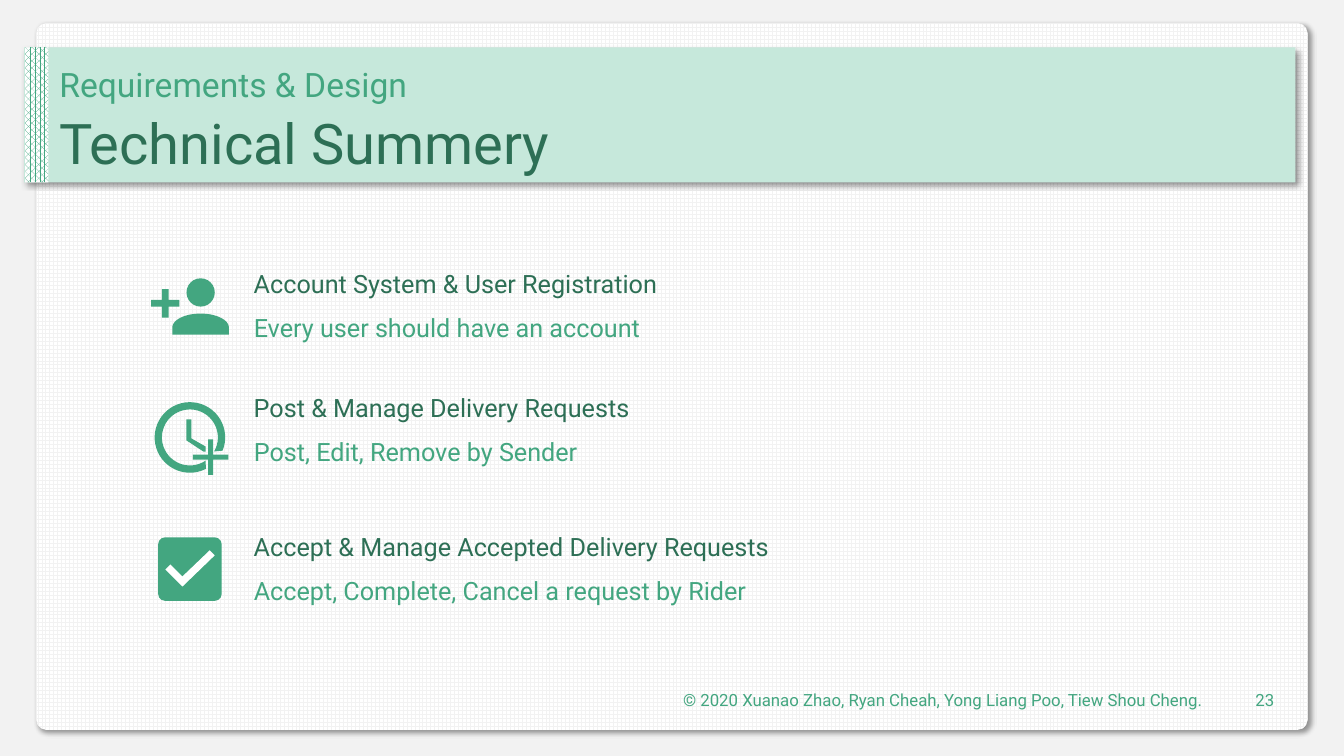
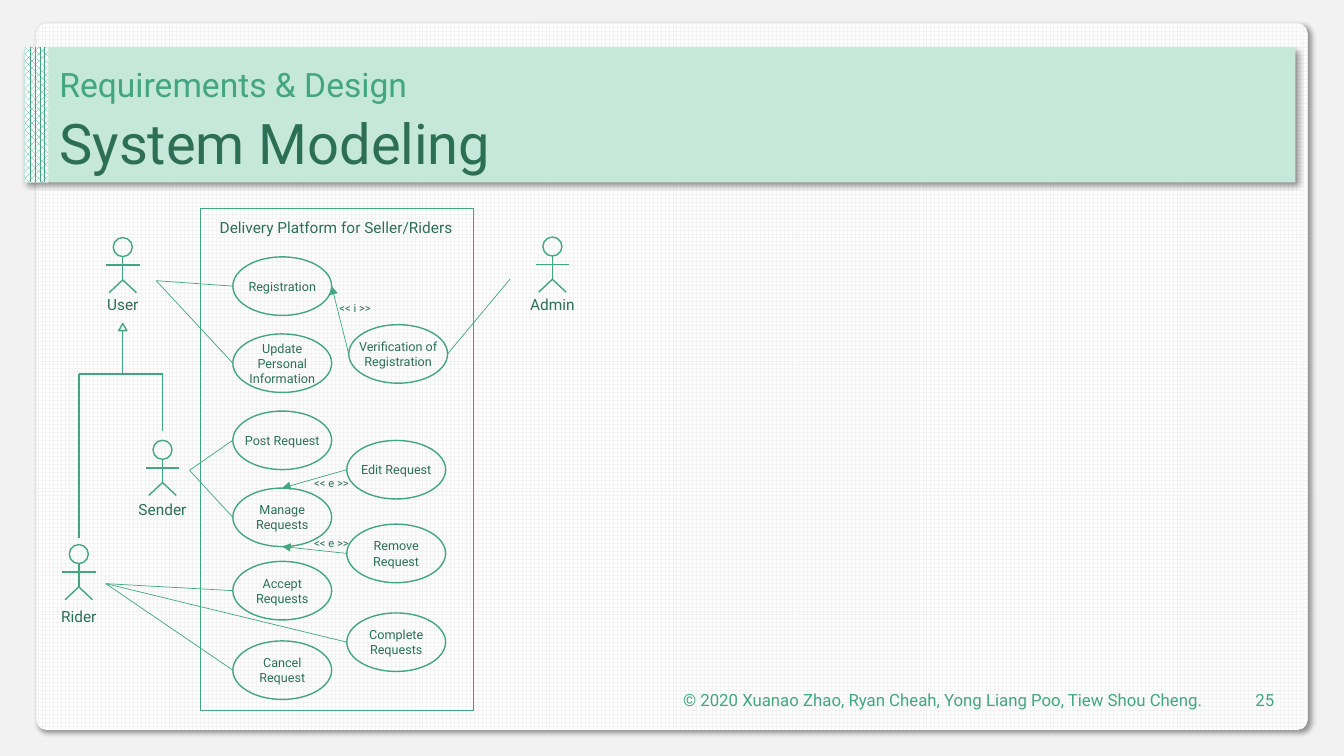
from math import cos, radians, sin

from lxml.etree import SubElement
from pptx import Presentation
from pptx.dml.color import RGBColor
from pptx.enum.dml import MSO_PATTERN
from pptx.enum.shapes import MSO_CONNECTOR, MSO_SHAPE
from pptx.enum.text import MSO_ANCHOR, PP_ALIGN
from pptx.oxml.ns import qn
from pptx.util import Pt

FONT = "Roboto"
GREEN, DARK, PALE = "43A680", "2D6F55", "C6E8DB"
GREY, WHITE, BLACK = "F2F2F2", "FFFFFF", "000000"
COPYRIGHT = "© 2020 Xuanao Zhao, Ryan Cheah, Yong Liang Poo, Tiew Shou Cheng."
CASE_W, CASE_H = 70.6, 41.8


def rgb(color):
    return RGBColor.from_string(color)


def arc(cx, cy, rx, ry, start, end, steps=48):
    """Points along an ellipse, angles in degrees clockwise from the right."""
    angles = [radians(start + (end - start) * i / steps) for i in range(steps + 1)]
    return [(cx + rx * cos(a), cy + ry * sin(a)) for a in angles]


class Deck:
    def __init__(self):
        self.prs = Presentation()
        self.prs.slide_width, self.prs.slide_height = Pt(960), Pt(540)
        self.s = None

    def slide(self, title, number):
        """Start a slide with its card, title band and footer."""
        self.s = self.prs.slides.add_slide(self.prs.slide_layouts[6])
        fill = self.s.background.fill
        fill.solid()
        fill.fore_color.rgb = rgb(GREY)
        card = self.shape(MSO_SHAPE.ROUNDED_RECTANGLE, 26, 16.6, 908, 504.7)
        card.adjustments[0] = 0.014
        self.pattern(card, MSO_PATTERN.LARGE_GRID, GREY)
        self.cast_shadow(card)
        self.cast_shadow(self.shape(MSO_SHAPE.RECTANGLE, 17.3, 33.8, 908, 96.5, PALE))
        strip = self.shape(MSO_SHAPE.RECTANGLE, 18, 33.8, 16.6, 96.5)
        self.pattern(strip, MSO_PATTERN.PERCENT_70, GREEN)
        for text, y, h, size, color in (("Requirements & Design", 38.9, 39.6, 24, GREEN),
                                        (title, 78.5, 51.1, 40, DARK)):
            p = self.text(text, 35.3, y, 889.2, h, size, color, anchor=MSO_ANCHOR.BOTTOM)
            p.line_spacing = 0.9
        for text, x, w in ((COPYRIGHT, 391.7, 474.5), (number, 874.8, 42.5)):
            self.text(text, x, 485.3, w, 28.8, 12, GREEN, PP_ALIGN.RIGHT, MSO_ANCHOR.MIDDLE)

    def plain(self, shape, fill=None, line=None):
        shape.shadow.inherit = False
        if fill:
            shape.fill.solid()
            shape.fill.fore_color.rgb = rgb(fill)
        else:
            shape.fill.background()
        if line:
            shape.line.color.rgb = rgb(line)
            shape.line.width = Pt(1)
        else:
            shape.line.fill.background()
        return shape

    def shape(self, kind, x, y, w, h, fill=None, line=None):
        sp = self.s.shapes.add_shape(kind, Pt(x), Pt(y), Pt(w), Pt(h))
        return self.plain(sp, fill, line)

    def pattern(self, sp, pattern, color):
        sp.fill.patterned()
        sp.fill.pattern = pattern
        sp.fill.fore_color.rgb = rgb(color)
        sp.fill.back_color.rgb = rgb(WHITE)

    def cast_shadow(self, sp):
        effects = sp._element.spPr.find(qn("a:effectLst"))
        shadow = SubElement(effects, qn("a:outerShdw"), blurRad=str(Pt(4)), dist=str(Pt(3)),
                            dir="2700000", algn="tl", rotWithShape="0")
        color = SubElement(shadow, qn("a:srgbClr"), val=BLACK)
        SubElement(color, qn("a:alpha"), val="40000")

    def polygon(self, points, fill):
        (x, y), *rest = [(Pt(px), Pt(py)) for px, py in points]
        builder = self.s.shapes.build_freeform(x, y)
        builder.add_line_segments(rest, close=True)
        return self.plain(builder.convert_to_shape(), fill)

    def plus(self, cx, cy, size, thickness):
        sp = self.shape(MSO_SHAPE.CROSS, cx - size / 2, cy - size / 2, size, size, GREEN)
        sp.adjustments[0] = (size - thickness) / 2 / size

    def set_text(self, tf, text, size, color, align):
        p = tf.paragraphs[0]
        p.text = text
        p.alignment = align
        p.font.name, p.font.size, p.font.color.rgb = FONT, Pt(size), rgb(color)
        return p

    def text(self, text, x, y, w, h, size, color=DARK, align=PP_ALIGN.LEFT,
             anchor=MSO_ANCHOR.TOP):
        tf = self.s.shapes.add_textbox(Pt(x), Pt(y), Pt(w), Pt(h)).text_frame
        tf.word_wrap = True
        tf.vertical_anchor = anchor
        return self.set_text(tf, text, size, color, align)

    def line(self, start, end, width=1, arrow=False):
        c = self.s.shapes.add_connector(MSO_CONNECTOR.STRAIGHT, *map(Pt, (*start, *end)))
        c.line.color.rgb = rgb(GREEN)
        c.line.width = Pt(width)
        spPr = c._element.spPr
        if arrow:
            SubElement(spPr.find(qn("a:ln")), qn("a:tailEnd"), type="triangle")
        SubElement(spPr, qn("a:effectLst"))

    def actor(self, name, cx, y, label_gap):
        """Stick figure with its head's top at y."""
        hip = (cx, y + 30.2)
        self.shape(MSO_SHAPE.OVAL, cx - 6.8, y, 13.6, 13.6, line=GREEN)
        self.line((cx, y + 13.3), hip)
        self.line((cx + 12, y + 19.7), (cx - 12, y + 19.7))
        for side in (-1, 1):
            self.line(hip, (cx + side * 9.8, y + 39.4))
        self.text(name, cx - 30, y + label_gap, 60, 20.9, 11, align=PP_ALIGN.CENTER)

    def use_case(self, text, x, y):
        sp = self.shape(MSO_SHAPE.OVAL, x, y, CASE_W, CASE_H, line=GREEN)
        tf = sp.text_frame
        tf.word_wrap = False
        tf.vertical_anchor = MSO_ANCHOR.MIDDLE
        self.set_text(tf, text, 9, DARK, PP_ALIGN.CENTER)


def technical_summary(deck):
    deck.slide("Technical Summery", "23")
    features = (
        (187.9, "Account System & User Registration", "Every user should have an account"),
        (276.8, "Post & Manage Delivery Requests", "Post, Edit, Remove by Sender"),
        (376, "Accept & Manage Accepted Delivery Requests",
         "Accept, Complete, Cancel a request by Rider"),
    )
    for y, heading, detail in features:
        deck.text(heading, 174.2, y, 493, 29, 18, DARK)
        deck.text(detail, 174.2, y + 31.4, 480, 29, 18, GREEN)

    # Person with plus
    deck.shape(MSO_SHAPE.OVAL, 133.2, 198.8, 20.2, 20.2, GREEN)
    deck.plus(118.1, 216.7, 20.2, 4.8)
    deck.polygon(arc(143.3, 234, 20.2, 10, 180, 360) + [(163.5, 239), (123.1, 239)], GREEN)

    # Clock with plus
    cx, cy = 135.7, 312.5
    deck.polygon(arc(cx, cy, 25.2, 25.2, 63, 382) + arc(cx, cy, 20, 20, 390, 56), GREEN)
    deck.polygon([(133.2, 299.5), (136.8, 299.5), (136.8, 313.2), (146.9, 319),
                  (146.9, 322.6), (145.4, 322.6), (133.2, 314.6)], GREEN)
    deck.plus(150.5, 326.5, 25.4, 3.6)

    # Check box
    box = deck.shape(MSO_SHAPE.ROUNDED_RECTANGLE, 113, 383.8, 45.4, 45.4, GREEN)
    box.adjustments[0] = 0.11
    deck.polygon([(130.3, 419), (118.1, 406.8), (121.7, 403.2), (130.3, 411.8),
                  (149.8, 393.1), (153.4, 396.7)], WHITE)


def system_modeling(deck):
    deck.slide("System Modeling", "25")
    user_x, sender_x, rider_x, admin_x = 87.7, 116.1, 56.3, 394.6
    branch_y = 267.1
    for start, end in (((rider_x, 384.5), (rider_x, branch_y)),
                       ((sender_x, 308.2), (sender_x, branch_y)),
                       ((rider_x, branch_y), (sender_x, branch_y)),
                       ((user_x, branch_y), (user_x, 236.2))):
        deck.line(start, end)
    deck.shape(MSO_SHAPE.ISOSCELES_TRIANGLE, user_x - 2.9, 231.1, 5.8, 5.1, line=GREEN)

    for name, cx, y, label_gap in (("User", user_x, 169.7, 37.6),
                                   ("Sender", sender_x, 314.5, 39),
                                   ("Rider", rider_x, 389, 41),
                                   ("Admin", admin_x, 169.3, 38)):
        deck.actor(name, cx, y, label_gap)

    deck.shape(MSO_SHAPE.RECTANGLE, 143.3, 149, 195.1, 358.6, line=GREEN)
    deck.text("Delivery Platform for Seller/Riders", 149.8, 152.6, 181.4, 20.9, 11)

    left, right = 166.3, 247.7
    cases = {
        "register": ("Registration", left, 183.5),
        "update": ("Update\nPersonal\nInformation", left, 238.5),
        "post": ("Post Request", left, 293.6),
        "manage": ("Manage\nRequests", left, 348.6),
        "accept": ("Accept\nRequests", left, 401),
        "cancel": ("Cancel\nRequest", left, 457.8),
        "edit": ("Edit Request", right, 314.6),
        "remove": ("Remove\nRequest", right, 374.4),
        "complete": ("Complete\nRequests", right, 437.8),
        "verify": ("Verification of\nRegistration", 249.1, 231.9),
    }
    for case in cases.values():
        deck.use_case(*case)

    def at(key, fx, fy):
        """Point at a fraction of a use case's width and height."""
        _, x, y = cases[key]
        return x + fx * CASE_W, y + fy * CASE_H

    for source, target in (("edit", at("manage", 0.5, 0)),
                           ("remove", at("manage", 0.5, 1)),
                           ("verify", at("register", 1, 0.5))):
        deck.line(at(source, 0, 0.5), target, 0.5, arrow=True)
    for label, x, y in (("<< e >>", 217.4, 337), ("<< e >>", 217.4, 379.8),
                        ("<< i >>", 235.4, 211.7)):
        deck.text(label, x, y, 44, 17, 8)

    deck.line((364.3, 199.4), at("verify", 1, 0.5), 0.5)
    for hand, keys in (((111.6, 200.5), ("register", "update")),
                       ((135.4, 335.9), ("post", "manage")),
                       ((75.6, 416.9), ("accept", "complete", "cancel"))):
        for key in keys:
            deck.line(at(key, 0, 0.5), hand, 0.5)


def main():
    deck = Deck()
    technical_summary(deck)
    system_modeling(deck)
    deck.prs.save("out.pptx")


if __name__ == "__main__":
    main()
